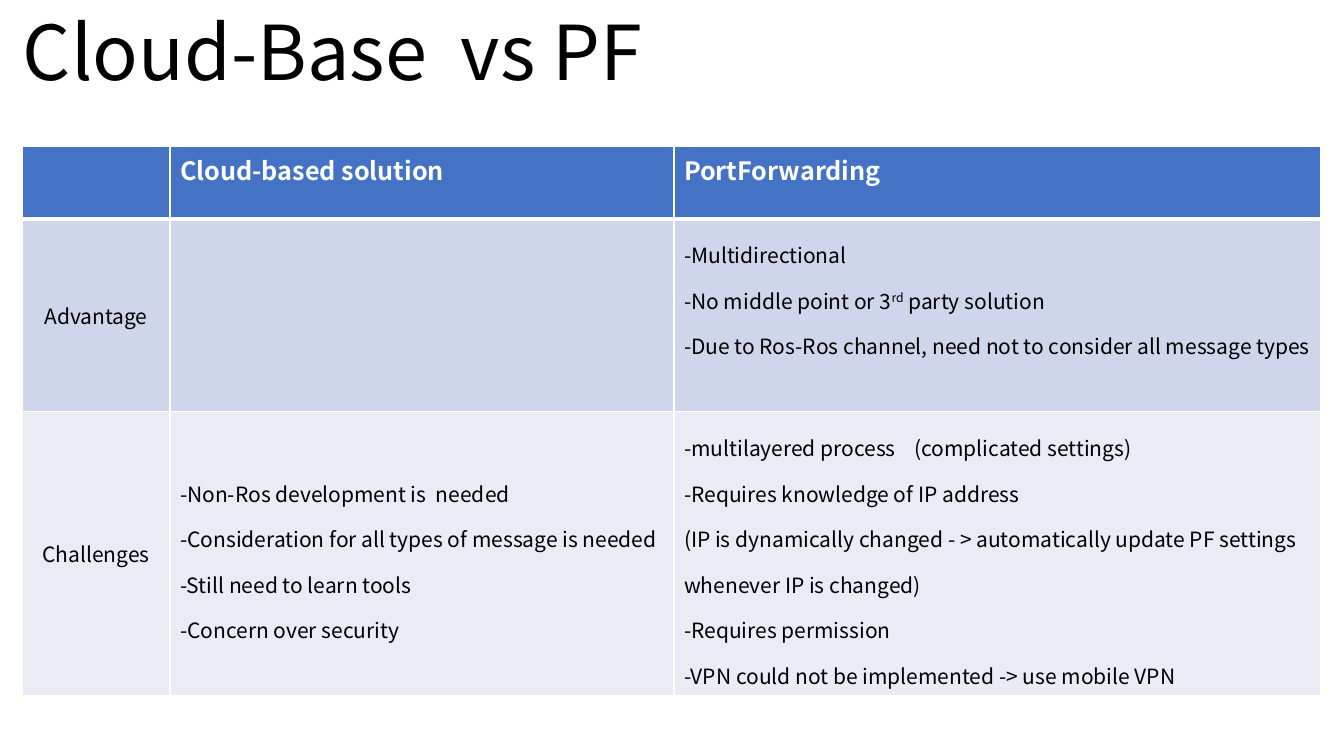
from lxml import etree
from pptx import Presentation
from pptx.dml.color import RGBColor
from pptx.enum.text import MSO_ANCHOR, MSO_AUTO_SIZE, PP_ALIGN
from pptx.oxml.ns import qn
from pptx.util import Pt

TOP, MIDDLE = MSO_ANCHOR.TOP, MSO_ANCHOR.MIDDLE
LEFT, CENTER = PP_ALIGN.LEFT, PP_ALIGN.CENTER
FIT_NONE = MSO_AUTO_SIZE.NONE
FONT = "Noto Sans CJK KR"
WIDE, HIGH = 1344, 756
SCALE = 12192000 / WIDE

COLS = [148, 504, 647]
ROWS = [73, 192, 283]
FILLS = ["4472C4", "CFD5EA", "E9EBF5"]
LINE = 46  # height of one body line

# Text between ^ marks is raised
CELLS = [
    [[], ["Cloud-based solution"], ["PortForwarding"]],
    [["Advantage"], [],
     ["-Multidirectional",
      "-No middle point or 3^rd^ party solution",
      "-Due to Ros-Ros channel, need not to consider all message types"]],
    [["Challenges"],
     ["-Non-Ros development is  needed",
      "-Consideration for all types of message is needed",
      "-Still need to learn tools",
      "-Concern over security"],
     ["-multilayered process    (complicated settings)",
      "-Requires knowledge of IP address",
      "(IP is dynamically changed - > automatically update PF settings "
      "whenever IP is changed)",
      "-Requires permission",
      "-VPN could not be implemented -> use mobile VPN"]],
]


def px(n):
    return round(n * SCALE)


def rgb(code):
    return RGBColor.from_string(code)


def style(run, size, color, bold=False):
    font = run.font
    font.name, font.size, font.bold = FONT, Pt(size), bold
    font.color.rgb = rgb(color)


def border(cell, row):
    """White lines, thick between the header and the body."""
    props = cell._tc.get_or_add_tcPr()
    for i, side in enumerate("LRTB"):
        thick = (row, side) in ((0, "B"), (1, "T"))
        line = etree.Element(qn("a:ln" + side), w=str(Pt(3 if thick else 1)))
        fill = etree.SubElement(line, qn("a:solidFill"))
        etree.SubElement(fill, qn("a:srgbClr"), val="FFFFFF")
        props.insert(i, line)


def write(cell, lines, row, col):
    head = row == 0
    cell.vertical_anchor = TOP if head else MIDDLE
    frame = cell.text_frame
    for i, line in enumerate(lines):
        para = frame.paragraphs[0] if i == 0 else frame.add_paragraph()
        para.alignment = LEFT if head or col else CENTER
        if not head and col:
            para.line_spacing = 1.5
        for j, part in enumerate(line.split("^")):
            run = para.add_run()
            run.text = part
            style(run, 18 if head else 15, "FFFFFF" if head else "000000", head)
            if j % 2:
                run._r.get_or_add_rPr().set("baseline", "30000")


def add_title(slide, x, y, w, h):
    title = slide.shapes.title
    title.left, title.top, title.width, title.height = map(px, (x, y, w, h))
    frame = title.text_frame
    frame.text = "Cloud-Base  vs PF"
    frame.word_wrap = False
    frame.auto_size = FIT_NONE
    frame.vertical_anchor = TOP
    para = frame.paragraphs[0]
    para.alignment = CENTER
    style(para.runs[0], 54, "000000")


def add_grid(slide, x, y):
    box = map(px, (x, y, sum(COLS), sum(ROWS)))
    table = slide.shapes.add_table(len(ROWS), len(COLS), *box).table
    for col, w in zip(table.columns, COLS):
        col.width = px(w)
    for r, h in enumerate(ROWS):
        table.rows[r].height = px(h)
        for c, lines in enumerate(CELLS[r]):
            cell = table.cell(r, c)
            cell.fill.solid()
            cell.fill.fore_color.rgb = rgb(FILLS[r])
            border(cell, r)
            write(cell, lines, r, c)
    # Leave one line free below the advantages
    table.cell(1, 2).margin_bottom = px(LINE + 5)


def main():
    deck = Presentation()
    deck.slide_width, deck.slide_height = px(WIDE), px(HIGH)
    slide = deck.slides.add_slide(deck.slide_layouts[5])
    add_title(slide, 10, 0, 645, 102)
    add_grid(slide, 22, 146)
    deck.save("out.pptx")


if __name__ == "__main__":
    main()
